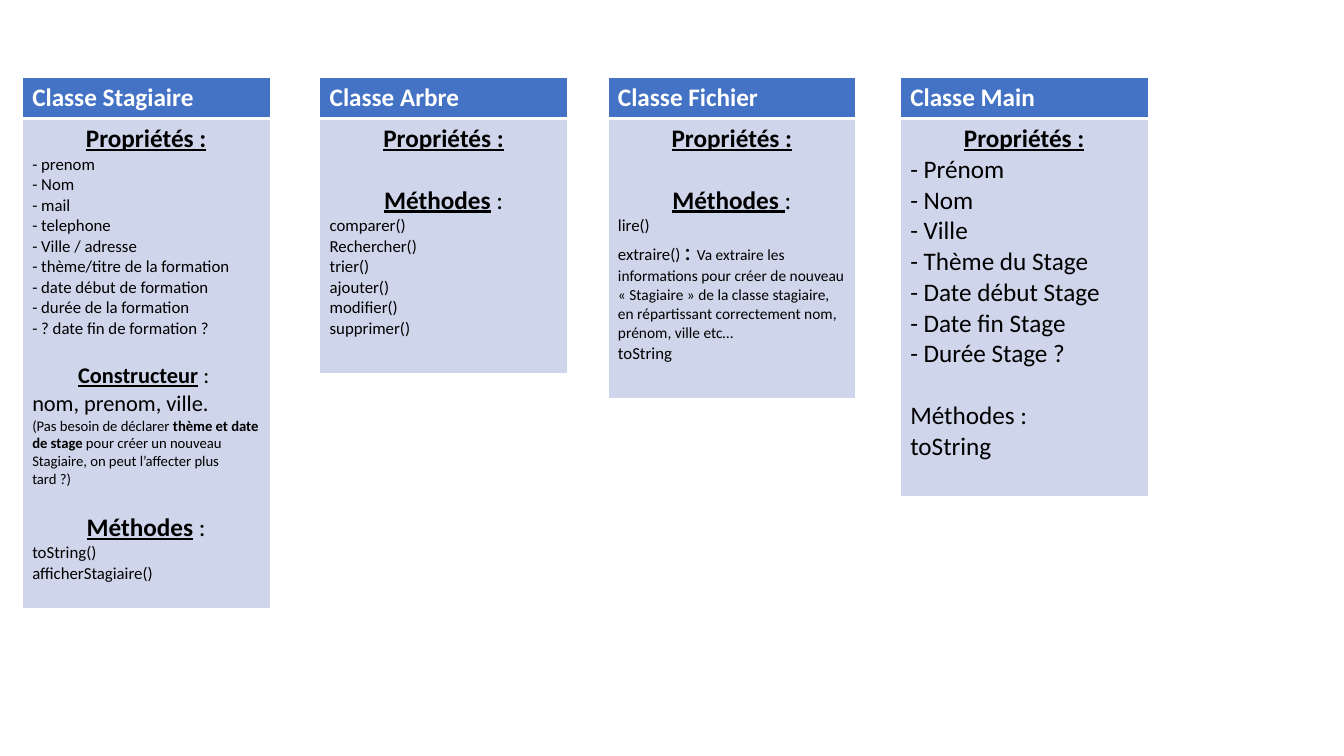
import pptx
import pptx.util
import pptx.dml.color
import pptx.enum.text
import lxml.etree

HEADER_FILL, BODY_FILL, WHITE, BLACK = "4472C4", "CFD5EA", "FFFFFF", "000000"
GAP_14, GAP_18 = 17, 22  # points before a section that follows a break


def style_cell(cell, fill, top, bottom):
    """Fill a cell and give it white borders; top and bottom are in points."""
    cell.fill.solid()
    cell.fill.fore_color.rgb = pptx.dml.color.RGBColor.from_string(fill)
    properties = cell._tc.get_or_add_tcPr()
    namespace = "{http://schemas.openxmlformats.org/drawingml/2006/main}"
    edges = [("lnL", 1), ("lnR", 1), ("lnT", top), ("lnB", bottom)]
    for position, (edge, width) in enumerate(edges):
        border = lxml.etree.Element(namespace + edge, w=str(pptx.util.Pt(width)))
        line_fill = lxml.etree.SubElement(border, namespace + "solidFill")
        lxml.etree.SubElement(line_fill, namespace + "srgbClr", val=WHITE)
        properties.insert(position, border)


def write_run(paragraph, text, size, color, bold=False, underline=False):
    run = paragraph.add_run()
    run.text = text
    run.font.name = "Calibri"
    run.font.size = pptx.util.Pt(size)
    run.font.bold = bold
    run.font.underline = underline
    run.font.color.rgb = pptx.dml.color.RGBColor.from_string(color)


deck = pptx.Presentation()
deck.slide_width = pptx.util.Inches(13.333)
deck.slide_height = pptx.util.Inches(7.5)
slide = deck.slides.add_slide(deck.slide_layouts[6])

# A line is (space before, runs); a run is (text, size, style),
# where style "h" is a centred section heading and "b" is bold.
properties_heading = (0, [("Propriétés :", 18, "h")])

trainee_lines = [properties_heading]
for field in ["prenom", "Nom", "mail", "telephone", "Ville / adresse",
              "thème/titre de la formation", "date début de formation",
              "durée de la formation", "? date fin de formation ?"]:
    trainee_lines.append((0, [("- " + field, 12, "")]))
trainee_lines += [
    (GAP_14, [("Constructeur", 16, "h"), (" : ", 16, "")]),
    (0, [("nom, prenom, ville.", 16, "")]),
    (0, [("(Pas besoin de déclarer ", 10.5, ""),
         ("thème et date de stage ", 10.5, "b"),
         ("pour créer un nouveau Stagiaire, on peut l’affecter plus tard ?)", 10.5, "")]),
    (GAP_14, [("Méthodes", 18, "h"), (" :", 18, "")]),
    (0, [("toString()", 12, "")]),
    (0, [("afficherStagiaire()", 12, "")]),
]

tree_lines = [properties_heading,
              (GAP_18, [("Méthodes", 18, "h"), (" :", 18, "")])]
for method in ["comparer", "Rechercher", "trier", "ajouter", "modifier", "supprimer"]:
    tree_lines.append((0, [(method + "()", 12, "")]))

file_lines = [
    properties_heading,
    (GAP_18, [("Méthodes ", 18, "h"), (":", 18, "")]),
    (0, [("lire()", 12, "")]),
    (0, [("extraire() ", 12, ""), (": ", 18, ""),
         ("Va extraire les informations pour créer de nouveau « Stagiaire » "
          "de la classe stagiaire, en répartissant correctement nom, prénom, "
          "ville etc…", 11, "")]),
    (0, [("toString", 12, "")]),
]

main_lines = [properties_heading]
for field in ["Prénom", "Nom", "Ville", "Thème du Stage", "Date début Stage",
              "Date fin Stage", "Durée Stage ?"]:
    main_lines.append((0, [("- " + field, 18, "")]))
main_lines += [(GAP_18, [("Méthodes :", 18, "")]), (0, [("toString", 18, "")])]

# Title, left edge (share of width), body height (share of height), lines
classes = [
    ("Classe Stagiaire", 0.0165, 0.648, trainee_lines),
    ("Classe Arbre", 0.2378, 0.3373, tree_lines),
    ("Classe Fichier", 0.4523, 0.3707, file_lines),
    ("Classe Main", 0.6698, 0.5, main_lines),
]
card_top = int(deck.slide_height * 0.1027)
card_width = int(deck.slide_width * 0.1845)
header_height = int(deck.slide_height * 0.054)

for title, left, body_share, lines in classes:
    body_height = int(deck.slide_height * body_share)
    card = slide.shapes.add_table(2, 1, int(deck.slide_width * left), card_top,
                                  card_width, header_height + body_height).table
    card.rows[0].height = header_height
    card.rows[1].height = body_height
    header, body = card.cell(0, 0), card.cell(1, 0)
    style_cell(header, HEADER_FILL, top=1, bottom=3)
    style_cell(body, BODY_FILL, top=3, bottom=1)
    write_run(header.text_frame.paragraphs[0], title, 18, WHITE, bold=True)

    for number, (space_before, runs) in enumerate(lines):
        if number == 0:
            paragraph = body.text_frame.paragraphs[0]
        else:
            paragraph = body.text_frame.add_paragraph()
        paragraph.space_before = pptx.util.Pt(space_before)
        if runs[0][2] == "h":
            paragraph.alignment = pptx.enum.text.PP_ALIGN.CENTER
        for text, size, style in runs:
            write_run(paragraph, text, size, BLACK,
                      bold=style in ("h", "b"), underline=style == "h")

deck.save("out.pptx")
